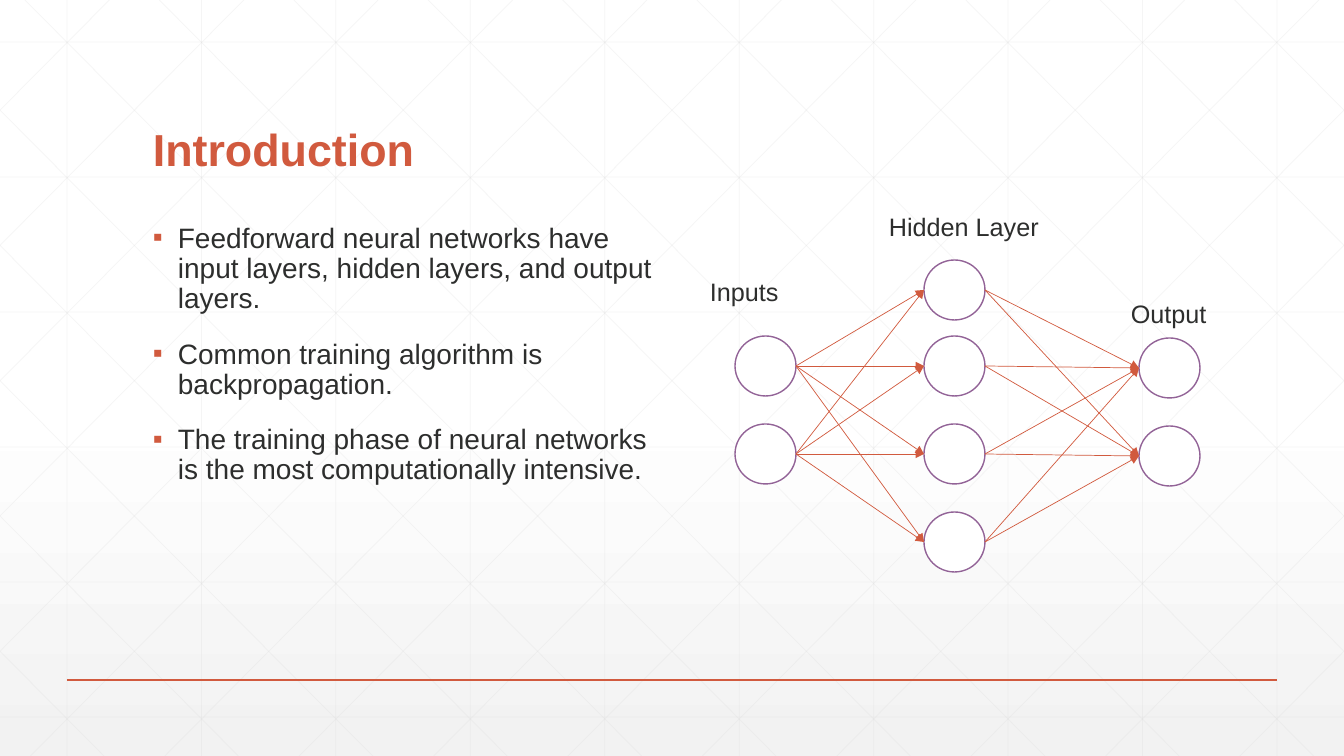
from copy import deepcopy
from itertools import pairwise, product

from lxml.etree import SubElement
from pptx import Presentation
from pptx.dml.color import RGBColor
from pptx.enum.shapes import MSO_CONNECTOR, MSO_SHAPE
from pptx.enum.text import MSO_ANCHOR
from pptx.oxml.ns import qn
from pptx.util import Pt

PX = 914400 / 100.8
WIDTH, HEIGHT = 1344, 756
THEME = {
    "font": "Arial",
    "accent": "D15A3E",
    "text": "2D2E2D",
    "node": "926397",
    "grid": "D9D9D9",
    "white": "FFFFFF",
    "shade": "F2F2F2",
    "title_size": 32,
    "body_size": 20,
    "label_size": 18,
}


def add_text(shapes, lines, frame, size, color=THEME["text"], bold=False,
             anchor=MSO_ANCHOR.TOP, wrap=True, spacing=None, gap=0, bullet=None):
    box = shapes.add_textbox(*(round(value * PX) for value in frame))
    box.text_frame.word_wrap = wrap
    box.text_frame.vertical_anchor = anchor
    for index, line in enumerate(lines):
        para = box.text_frame.paragraphs[0] if index == 0 else box.text_frame.add_paragraph()
        if bullet:
            properties = para._p.get_or_add_pPr()
            indent = round(25 * PX)
            properties.set("marL", str(indent))
            properties.set("indent", str(-indent))
            bullet_color = SubElement(properties, qn("a:buClr"))
            SubElement(bullet_color, qn("a:srgbClr"), val=THEME["accent"])
            SubElement(properties, qn("a:buFont"), typeface=THEME["font"])
            SubElement(properties, qn("a:buChar"), char=bullet)
        if spacing:
            para.line_spacing = spacing
        if index and gap:
            para.space_before = Pt(gap)
        span = para.add_run()
        span.text = line
        span.font.name = THEME["font"]
        span.font.size = Pt(size)
        span.font.bold = bold
        span.font.color.rgb = RGBColor.from_string(color)


def add_line(shapes, start, end, color, width=0.5, opacity=None, arrow=False):
    ends = (round(value * PX) for value in (*start, *end))
    line = shapes.add_connector(MSO_CONNECTOR.STRAIGHT, *ends)
    line.line.width = Pt(width)
    line.line.color.rgb = RGBColor.from_string(color)
    properties = line._element.spPr
    if opacity:
        SubElement(properties.find(".//" + qn("a:srgbClr")), qn("a:alpha"), val=str(opacity * 1000))
    if arrow:
        SubElement(properties.find(qn("a:ln")), qn("a:tailEnd"), type="triangle")
    SubElement(properties, qn("a:effectLst"))


deck = Presentation()
deck.slide_width = round(WIDTH * PX)
deck.slide_height = round(HEIGHT * PX)
page = deck.slides.add_slide(deck.slide_layouts[6])

backdrop = page.background.fill
backdrop.gradient()
backdrop.gradient_angle = 270
stop_list = page.element.find(".//" + qn("a:gsLst"))
stop_list.insert(1, deepcopy(stop_list[0]))
backdrop_stops = [(0, "white"), (0.53, "white"), (1, "shade")]
for stop, (position, name) in zip(backdrop.gradient_stops, backdrop_stops):
    stop.position = position
    stop.color.rgb = RGBColor.from_string(THEME[name])

SLANT_RUN = 751
grid_lines = []
for column in range(10):
    x = 67 + column * 1210 / 9
    grid_lines.append(((x, 0), (x, HEIGHT)))
for row in range(6):
    y = 42 + row * 135
    grid_lines.append(((0, y), (WIDTH, y)))
for column in range(-5, 10):
    x = 25 + column * WIDTH / 10
    left, right = max(x, 0), min(x + SLANT_RUN, WIDTH)
    top, bottom = ((edge - x) * HEIGHT / SLANT_RUN for edge in (left, right))
    grid_lines.append(((left, top), (right, bottom)))
    grid_lines.append(((WIDTH - left, top), (WIDTH - right, bottom)))

grid = page.shapes.add_group_shape()
for start, end in grid_lines:
    add_line(grid.shapes, start, end, THEME["grid"], opacity=25)
add_line(page.shapes, (67, 680), (1277, 680), THEME["accent"], width=1)

add_text(page.shapes, ["Introduction"], (143, 55, 1058, 126), THEME["title_size"],
         color=THEME["accent"], bold=True, anchor=MSO_ANCHOR.BOTTOM, spacing=0.9)
points = [
    "Feedforward neural networks have input layers, hidden layers, and output layers.",
    "Common training algorithm is backpropagation.",
    "The training phase of neural networks is the most computationally intensive.",
]
add_text(page.shapes, points, (143, 219, 540, 420), THEME["body_size"],
         spacing=0.9, gap=18, bullet="▪")

NODE_WIDTH, NODE_HEIGHT = 61, 60
layers = [
    (735, [366, 454]),
    (924, [290, 366, 454, 542]),
    (1139, [368, 456]),
]
network = page.shapes.add_group_shape()
for left, centers in layers:
    for center in centers:
        frame = (left, center - NODE_HEIGHT / 2, NODE_WIDTH, NODE_HEIGHT)
        node = network.shapes.add_shape(MSO_SHAPE.OVAL, *(round(value * PX) for value in frame))
        node.shadow.inherit = False
        node.fill.solid()
        node.fill.fore_color.rgb = RGBColor.from_string(THEME["white"])
        node.line.color.rgb = RGBColor.from_string(THEME["node"])
        node.line.width = Pt(1)

for (left, sources), (right, targets) in pairwise(layers):
    for source, target in product(sources, targets):
        add_line(network.shapes, (left + NODE_WIDTH, source), (right, target),
                 THEME["accent"], arrow=True)

labels = [
    ("Inputs", (700, 271, 90, 40)),
    ("Hidden Layer", (879, 206, 171, 40)),
    ("Output", (1121, 293, 97, 40)),
]
for label, frame in labels:
    add_text(network.shapes, [label], frame, THEME["label_size"], wrap=False)

deck.save("out.pptx")
